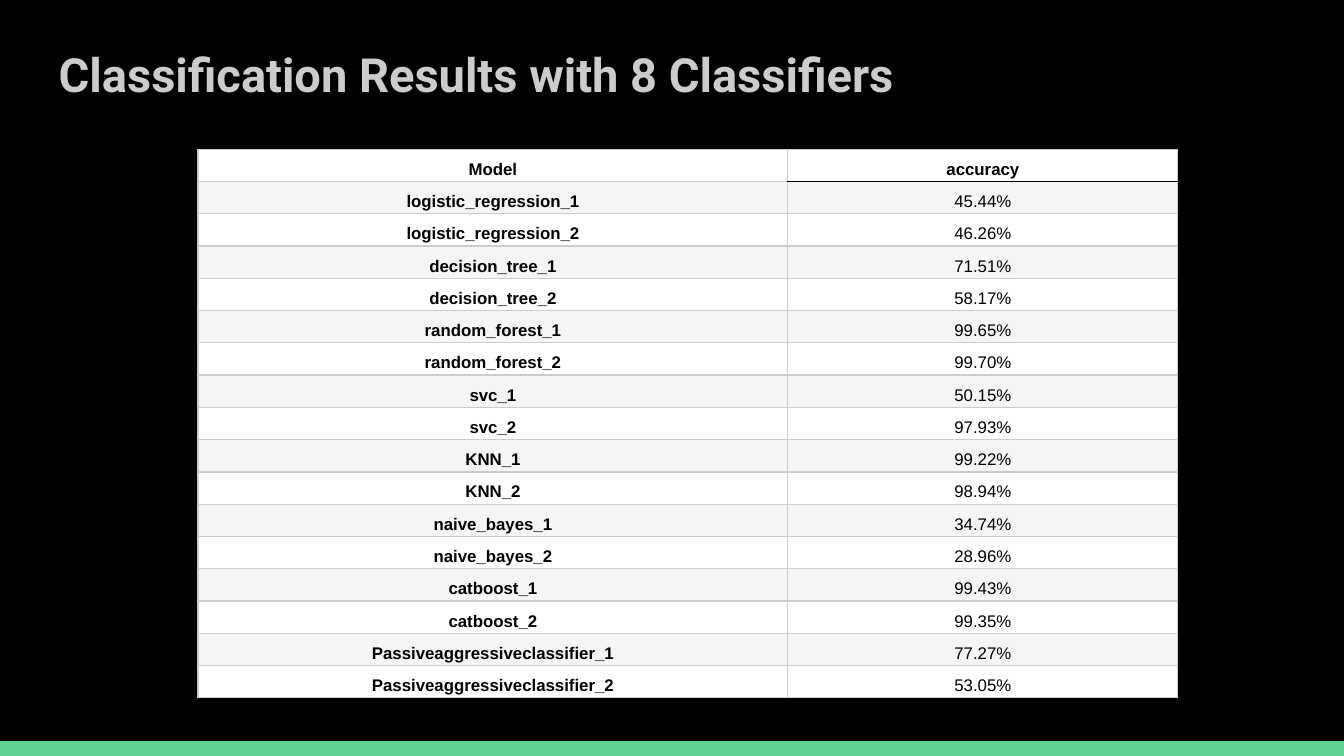
from typing import NamedTuple

from lxml import etree
from pptx import Presentation
from pptx.dml.color import RGBColor
from pptx.enum.shapes import MSO_SHAPE
from pptx.enum.text import MSO_ANCHOR, PP_ALIGN
from pptx.oxml.ns import qn
from pptx.util import Cm, Pt

RECTANGLE = MSO_SHAPE.RECTANGLE
BOTTOM = MSO_ANCHOR.BOTTOM
CENTER = PP_ALIGN.CENTER

COLORS = {
    "background": "000000",
    "accent": "63D297",
    "title": "CCCCCC",
    "text": "000000",
    "border": "CCCCCC",
    "header_rule": "000000",
    "even_row": "FFFFFF",
    "odd_row": "F5F5F5",
}
COLUMN_WIDTHS = (11.15, 7.37)
ROW_HEIGHT = 0.61


class Result(NamedTuple):
    model: str
    accuracy: str


HEADER = Result("Model", "accuracy")
RESULTS = [
    Result("logistic_regression_1", "45.44%"),
    Result("logistic_regression_2", "46.26%"),
    Result("decision_tree_1", "71.51%"),
    Result("decision_tree_2", "58.17%"),
    Result("random_forest_1", "99.65%"),
    Result("random_forest_2", "99.70%"),
    Result("svc_1", "50.15%"),
    Result("svc_2", "97.93%"),
    Result("KNN_1", "99.22%"),
    Result("KNN_2", "98.94%"),
    Result("naive_bayes_1", "34.74%"),
    Result("naive_bayes_2", "28.96%"),
    Result("catboost_1", "99.43%"),
    Result("catboost_2", "99.35%"),
    Result("Passiveaggressiveclassifier_1", "77.27%"),
    Result("Passiveaggressiveclassifier_2", "53.05%"),
]


def color(name: str) -> RGBColor:
    return RGBColor.from_string(COLORS[name])


def style_text(para, font_name: str, size: float, color_name: str, bold: bool) -> None:
    para.font.name = font_name
    para.font.size = Pt(size)
    para.font.bold = bold
    para.font.color.rgb = color(color_name)


def draw_footer_bar(page) -> None:
    bar = page.shapes.add_shape(RECTANGLE, 0, Cm(14.01), Cm(25.4), Cm(0.28))
    bar.shadow.inherit = False
    bar.fill.solid()
    bar.fill.fore_color.rgb = color("accent")
    bar.line.fill.background()


def draw_title(page, text: str) -> None:
    box = page.shapes.add_textbox(Cm(0.86), Cm(0.61), Cm(23.67), Cm(1.6))
    frame = box.text_frame
    frame.word_wrap = True
    frame.margin_left = frame.margin_right = Cm(0.25)
    frame.margin_top = frame.margin_bottom = Cm(0.25)
    para = frame.paragraphs[0]
    para.text = text
    style_text(para, "Roboto", 25.2, "title", True)


def set_borders(cell, top: str, bottom: str) -> None:
    properties = cell._tc.get_or_add_tcPr()
    sides = {"lnL": "border", "lnR": "border", "lnT": top, "lnB": bottom}
    for side, color_name in sides.items():
        line = etree.SubElement(properties, qn(f"a:{side}"), w=str(Pt(0.75)))
        fill = etree.SubElement(line, qn("a:solidFill"))
        etree.SubElement(fill, qn("a:srgbClr"), val=COLORS[color_name])


def draw_cell(cell, text: str, row: int, column: int) -> None:
    top = "header_rule" if (row, column) == (1, 1) else "border"
    bottom = "header_rule" if (row, column) == (0, 1) else "border"
    set_borders(cell, top, bottom)
    cell.fill.solid()
    cell.fill.fore_color.rgb = color("odd_row" if row % 2 else "even_row")
    cell.vertical_anchor = BOTTOM
    cell.margin_left = cell.margin_right = Cm(0.08)
    cell.margin_top = cell.margin_bottom = Cm(0.05)
    para = cell.text_frame.paragraphs[0]
    para.text = text
    para.alignment = CENTER
    para.line_spacing = 1.15
    style_text(para, "Arial", 9, "text", row == 0 or column == 0)


def draw_results(page, rows: list[Result]) -> None:
    table = page.shapes.add_table(
        len(rows), len(COLUMN_WIDTHS), Cm(3.74), Cm(2.82),
        Cm(sum(COLUMN_WIDTHS)), Cm(ROW_HEIGHT * len(rows)),
    ).table
    for column, width in zip(table.columns, COLUMN_WIDTHS):
        column.width = Cm(width)
    for row, result in enumerate(rows):
        table.rows[row].height = Cm(ROW_HEIGHT)
        for column, text in enumerate(result):
            draw_cell(table.cell(row, column), text, row, column)


def main() -> None:
    deck = Presentation()
    deck.slide_width = Cm(25.4)
    deck.slide_height = Cm(14.29)
    page = deck.slides.add_slide(deck.slide_layouts[6])
    page.background.fill.solid()
    page.background.fill.fore_color.rgb = color("background")
    draw_footer_bar(page)
    draw_title(page, "Classification Results with 8 Classifiers")
    draw_results(page, [HEADER, *RESULTS])
    deck.save("out.pptx")


if __name__ == "__main__":
    main()
